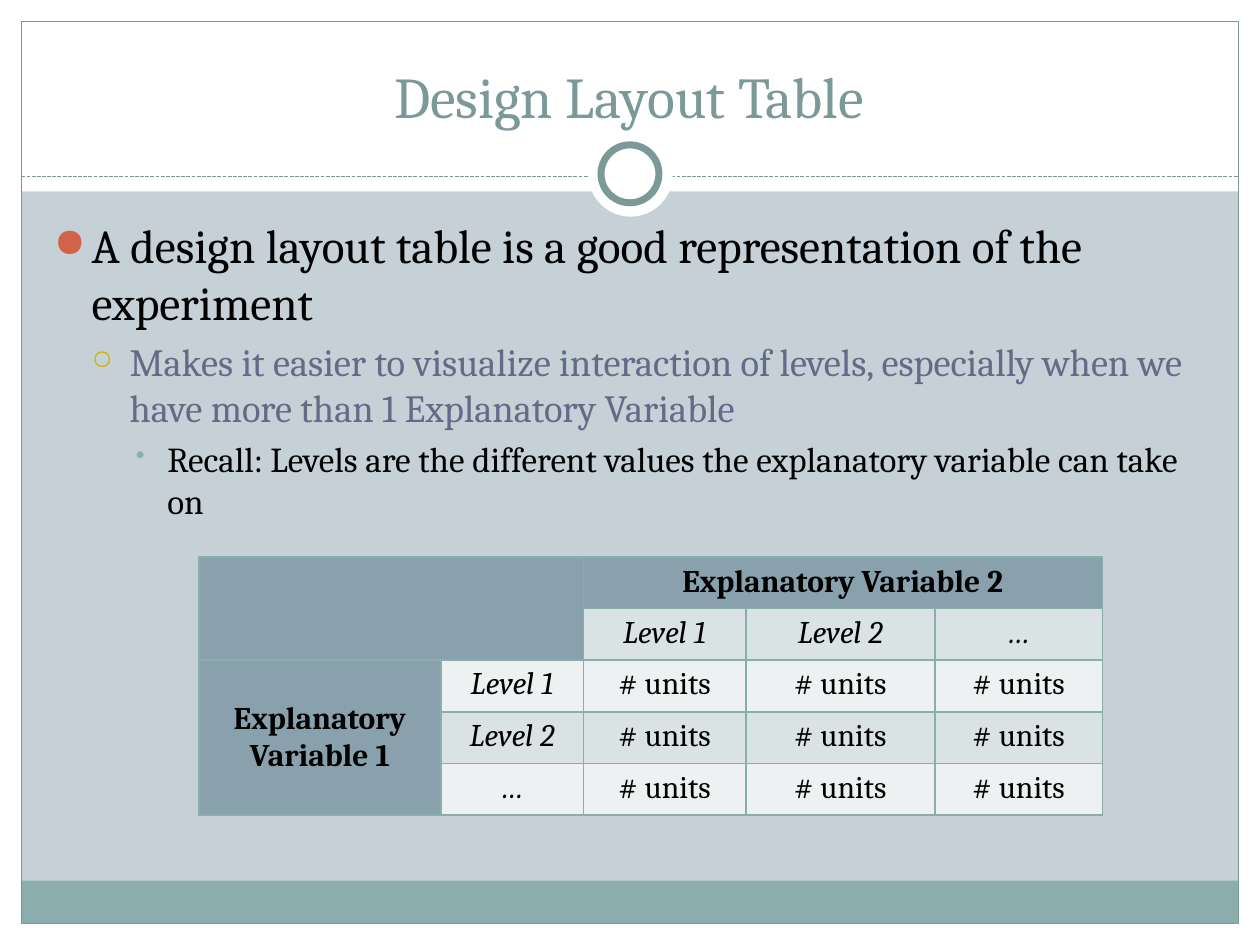
from lxml import etree
from pptx import Presentation
from pptx.dml.color import RGBColor
from pptx.enum.dml import MSO_LINE
from pptx.enum.shapes import MSO_CONNECTOR, MSO_SHAPE
from pptx.enum.text import MSO_ANCHOR, PP_ALIGN
from pptx.oxml.ns import qn
from pptx.util import Inches, Pt

RECT, OVAL = MSO_SHAPE.RECTANGLE, MSO_SHAPE.OVAL
STRAIGHT, DASH = MSO_CONNECTOR.STRAIGHT, MSO_LINE.SQUARE_DOT
CENTER, LEFT = PP_ALIGN.CENTER, PP_ALIGN.LEFT
TOP, MIDDLE, BOTTOM = MSO_ANCHOR.TOP, MSO_ANCHOR.MIDDLE, MSO_ANCHOR.BOTTOM

FONT = "Cambria"
BACKGROUND, WHITE, BLACK = "C5D1D7", "FFFFFF", "000000"
TEAL, DARK_TEAL = "8CADAE", "7C999A"
HEADER, BANDS = "88A1AD", ("EEF1F2", "DAE3E3")

WIDTH, HEIGHT, MARGIN = 10, 7.5, 0.17
INNER_WIDTH = WIDTH - 2 * MARGIN
RULE_Y = 1.4

TITLE = "Design Layout Table"
POINTS = [
    ("A design layout table is a good representation of the experiment",
     27, BLACK, 0.3, 0.3, "●", "D16349", 85),
    ("Makes it easier to visualize interaction of levels, especially when we have more than 1 Explanatory Variable",
     22, "646B86", 0.6, 0.3, "○", "CCB400", 70),
    ("Recall: Levels are the different values the explanatory variable can take on",
     20, BLACK, 0.9, 0.25, "•", TEAL, 75),
]
ROW_VARIABLE, COLUMN_VARIABLE = "Explanatory Variable 1", "Explanatory Variable 2"
LEVELS = ["Level 1", "Level 2", "…"]
UNITS = "# units"
COLUMN_WIDTHS = [1.92, 1.13, 1.29, 1.5, 1.33]
ROW_HEIGHT = 0.41

FRAME = [
    (RECT, (0, HEIGHT - MARGIN, WIDTH, MARGIN), WHITE, None),
    (RECT, (0, 0, WIDTH, 1.52), WHITE, None),
    (RECT, (0, 0, MARGIN, HEIGHT), WHITE, None),
    (RECT, (WIDTH - MARGIN, 0, MARGIN, HEIGHT), WHITE, None),
    (RECT, (MARGIN, 6.99, INNER_WIDTH, 0.34), TEAL, None),
    (RECT, (MARGIN, MARGIN, INNER_WIDTH, HEIGHT - 2 * MARGIN), None, 0.75),
]
RING = [
    (OVAL, (4.67, 1.05, 0.67, 0.67), WHITE, None),
    (OVAL, (4.77, 1.15, 0.46, 0.46), WHITE, 4),
]


def color(value):
    return RGBColor.from_string(value)


def paint(fill, value):
    fill.solid()
    fill.fore_color.rgb = color(value)


def draw(kind, box, fill, line_width):
    shape = slide.shapes.add_shape(kind, *map(Inches, box))
    shape.shadow.inherit = False
    if fill:
        paint(shape.fill, fill)
    else:
        shape.fill.background()
    if line_width:
        shape.line.color.rgb = color(DARK_TEAL)
        shape.line.width = Pt(line_width)
    else:
        shape.line.fill.background()


def add_frame(*box, anchor):
    frame = slide.shapes.add_textbox(*map(Inches, box)).text_frame
    frame.word_wrap = True
    frame.vertical_anchor = anchor
    return frame


def write(paragraph, text, size, ink, align=CENTER, bold=False, italic=False):
    paragraph.alignment = align
    run = paragraph.add_run()
    run.text = text
    run.font.name, run.font.size = FONT, Pt(size)
    run.font.bold, run.font.italic = bold, italic
    run.font.color.rgb = color(ink)


def add_bullet(paragraph, indent, hanging, mark, ink, percent):
    props = paragraph._p.get_or_add_pPr()
    props.set("marL", str(Inches(indent)))
    props.set("indent", str(-Inches(hanging)))
    bullet_color = etree.SubElement(props, qn("a:buClr"))
    etree.SubElement(bullet_color, qn("a:srgbClr"), val=ink)
    etree.SubElement(props, qn("a:buSzPct"), val=str(percent * 1000))
    etree.SubElement(props, qn("a:buChar"), char=mark)


def add_borders(cell):
    props = cell._tc.get_or_add_tcPr()
    for place, side in enumerate(("lnL", "lnR", "lnT", "lnB")):
        border = etree.Element(qn("a:" + side), w=str(Pt(1)))
        fill = etree.SubElement(border, qn("a:solidFill"))
        etree.SubElement(fill, qn("a:srgbClr"), val=TEAL)
        props.insert(place, border)


def fill_cell(row, column, text, bold=False, italic=False):
    cell = table.cell(row, column)
    cell.vertical_anchor = MIDDLE if bold else TOP
    write(cell.text_frame.paragraphs[0], text, 18, BLACK, bold=bold, italic=italic)


prs = Presentation()
prs.slide_width, prs.slide_height = Inches(WIDTH), Inches(HEIGHT)
slide = prs.slides.add_slide(prs.slide_layouts[6])
paint(slide.background.fill, BACKGROUND)

for part in FRAME:
    draw(*part)
rule = slide.shapes.add_connector(
    STRAIGHT, *map(Inches, (MARGIN, RULE_Y, WIDTH - MARGIN, RULE_Y)))
rule.line.color.rgb = color(DARK_TEAL)
rule.line.width = Pt(0.75)
rule.line.dash_style = DASH
etree.SubElement(rule._element.spPr, qn("a:effectLst"))
for part in RING:
    draw(*part)

title = add_frame(0.33, 0.25, 9.33, 0.83, anchor=BOTTOM)
write(title.paragraphs[0], TITLE, 33, DARK_TEAL)

body = add_frame(0.33, 1.67, 9.3, 5, anchor=TOP)
for number, (text, size, ink, *bullet) in enumerate(POINTS):
    paragraph = body.add_paragraph() if number else body.paragraphs[0]
    write(paragraph, text, size, ink, LEFT)
    paragraph.space_before = Pt(size * 0.2)
    add_bullet(paragraph, *bullet)

row_count = len(LEVELS) + 2
table = slide.shapes.add_table(
    row_count, len(COLUMN_WIDTHS), Inches(1.58), Inches(4.42),
    Inches(sum(COLUMN_WIDTHS)), Inches(ROW_HEIGHT * row_count)).table
for column, width in zip(table.columns, COLUMN_WIDTHS):
    column.width = Inches(width)
for row in table.rows:
    row.height = Inches(ROW_HEIGHT)

for r in range(row_count):
    for c in range(len(COLUMN_WIDTHS)):
        is_header = r == 0 or c == 0 or (r == 1 and c == 1)
        paint(table.cell(r, c).fill, HEADER if is_header else BANDS[r % 2])
        add_borders(table.cell(r, c))

table.cell(0, 0).merge(table.cell(1, 1))
table.cell(0, 2).merge(table.cell(0, 4))
table.cell(2, 0).merge(table.cell(4, 0))
fill_cell(0, 2, COLUMN_VARIABLE, bold=True)
fill_cell(2, 0, ROW_VARIABLE, bold=True)
for i, level in enumerate(LEVELS, 2):
    fill_cell(1, i, level, italic=True)
    fill_cell(i, 1, level, italic=True)
    for j in range(2, 2 + len(LEVELS)):
        fill_cell(i, j, UNITS)

prs.save("out.pptx")
